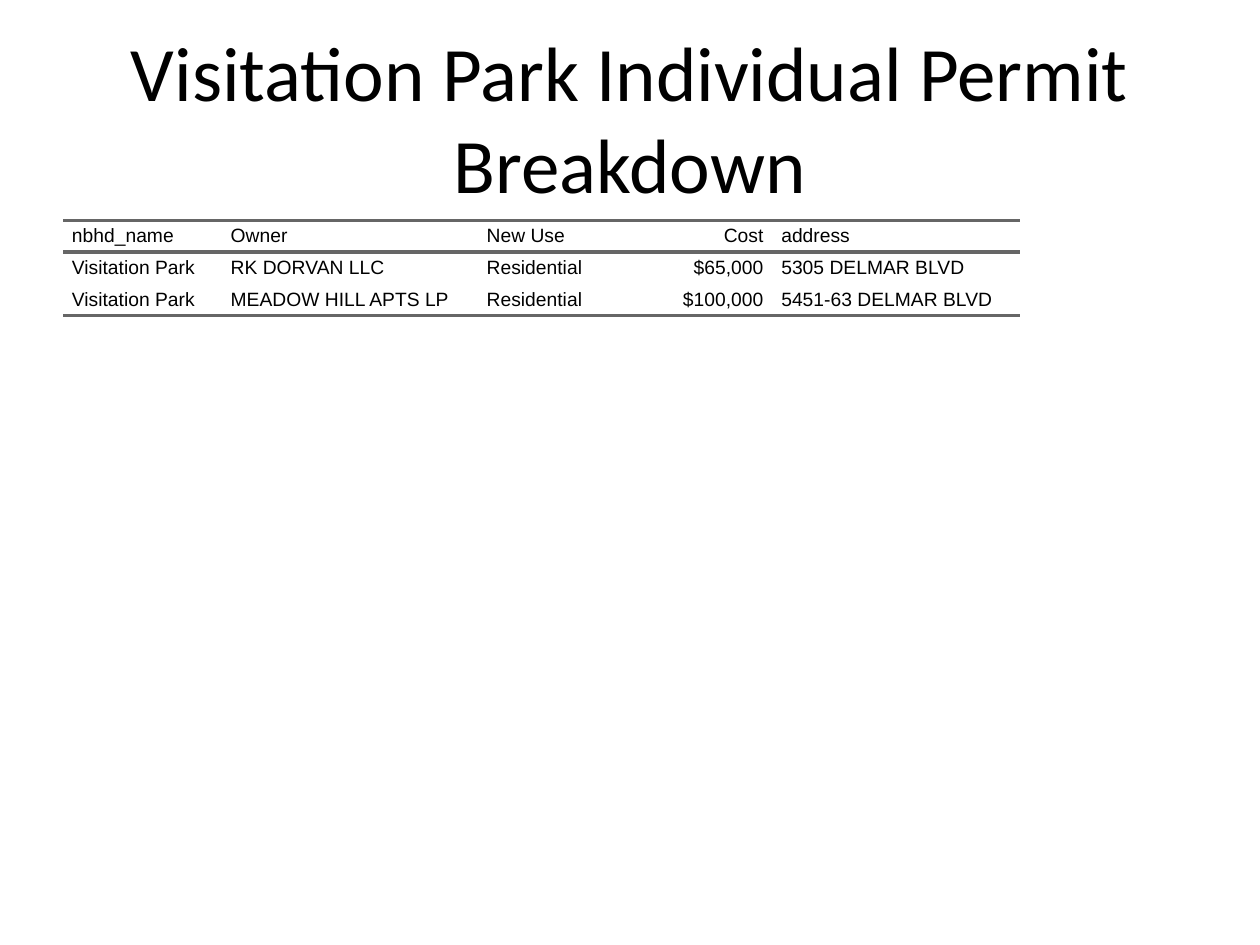
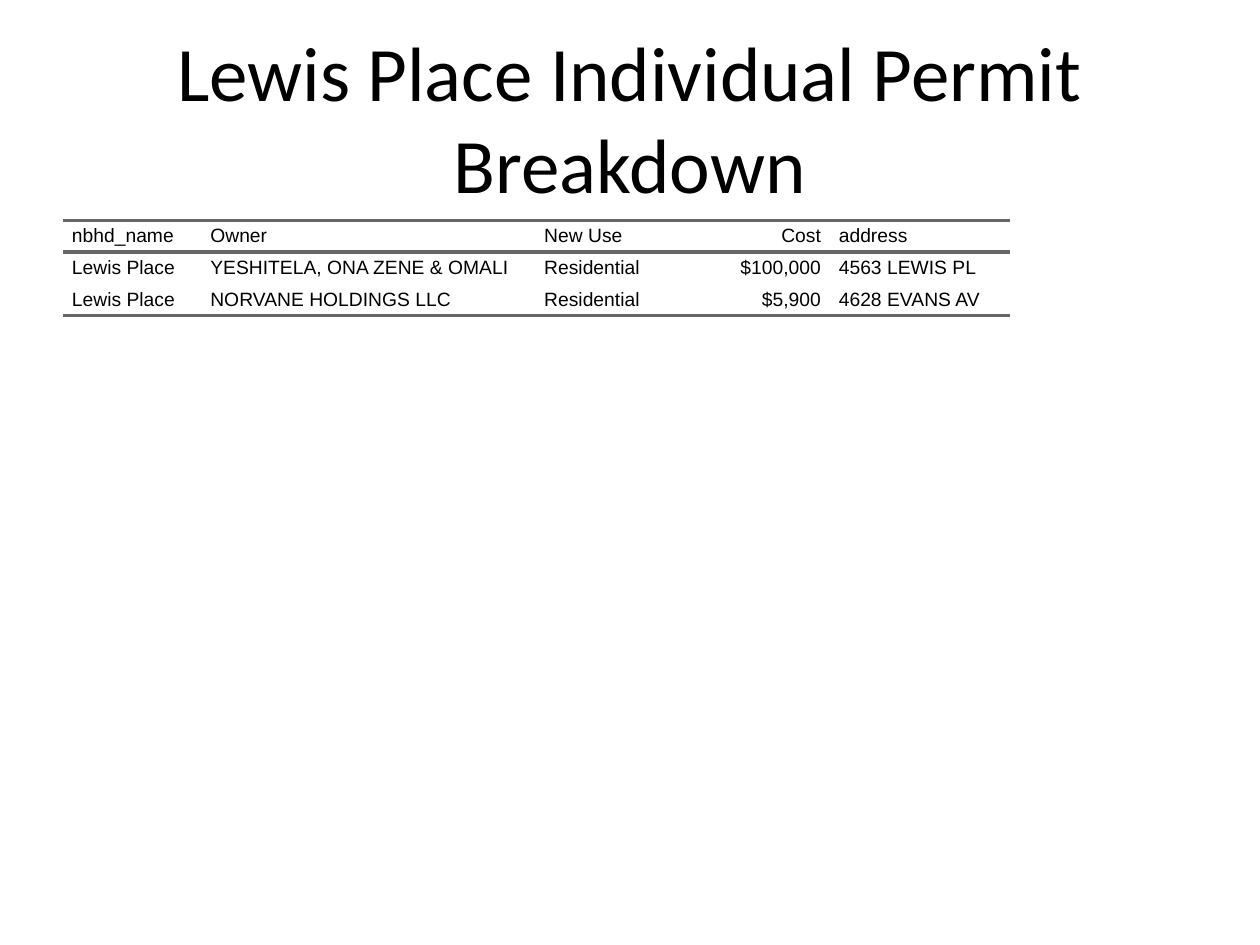
from dataclasses import dataclass

from lxml import etree
from pptx import Presentation, util as u
from pptx.dml.color import RGBColor
from pptx.enum import text
from pptx.oxml.ns import qn

INK = {"text": "000000", "rule": "666666"}
HEAD = ("nbhd_name", "Owner", "New Use", "Cost", "address")
LEFT = u.Cm(1.27)
ROW = u.Cm(0.64)
PAD = u.Cm(0.18)
RULE = u.Pt(2)


@dataclass
class Permit:
    owner: str
    use: str
    cost: int
    place: str


@dataclass
class Area:
    name: str
    widths: tuple[float, ...]
    permits: list[Permit]

    def rows(self) -> list[tuple[str, ...]]:
        return [HEAD] + [(self.name, p.owner, p.use, f"${p.cost:,}", p.place)
                         for p in self.permits]


AREAS = [
    Area("Visitation Park", (3.2, 5.16, 2.64, 3.3, 5), [
        Permit("RK DORVAN LLC", "Residential", 65000, "5305 DELMAR BLVD"),
        Permit("MEADOW HILL APTS LP", "Residential", 100000, "5451-63 DELMAR BLVD"),
    ]),
    Area("Lewis Place", (2.79, 6.73, 2.64, 3.3, 3.63), [
        Permit("YESHITELA, ONA ZENE & OMALI", "Residential", 100000, "4563 LEWIS PL"),
        Permit("NORVANE HOLDINGS LLC", "Residential", 5900, "4628 EVANS AV"),
    ]),
]


def style(para, face: str, size: int, align) -> None:
    para.alignment = align
    para.font.name = face
    para.font.size = u.Pt(size)
    para.font.color.rgb = RGBColor.from_string(INK["text"])


def add_title(slide, words: str) -> None:
    frame = slide.shapes.add_textbox(LEFT, u.Cm(0.76), u.Cm(22.86), u.Cm(3.18)).text_frame
    frame.word_wrap = True
    frame.vertical_anchor = text.MSO_ANCHOR.MIDDLE
    frame.text = words
    style(frame.paragraphs[0], "Calibri", 44, text.PP_ALIGN.CENTER)


def set_rules(cell, top: bool, base: bool) -> None:
    """Rule the top and base of a cell where asked; clear its other edges."""
    props = cell._tc.get_or_add_tcPr()
    edges = {"a:lnL": False, "a:lnR": False, "a:lnT": top, "a:lnB": base}
    for spot, (tag, ruled) in enumerate(edges.items()):
        line = etree.Element(qn(tag), w=str(RULE))
        if ruled:
            fill = etree.SubElement(line, qn("a:solidFill"))
            etree.SubElement(fill, qn("a:srgbClr"), val=INK["rule"])
        else:
            etree.SubElement(line, qn("a:noFill"))
        props.insert(spot, line)


def add_table(slide, area: Area) -> None:
    rows = area.rows()
    last = len(rows) - 1
    table = slide.shapes.add_table(len(rows), len(HEAD), LEFT, u.Cm(4.44),
                                   u.Cm(sum(area.widths)), ROW * len(rows)).table
    table.first_row = table.horz_banding = False
    for col, width in zip(table.columns, area.widths):
        col.width = u.Cm(width)
    for r, row in enumerate(rows):
        table.rows[r].height = ROW
        for c, words in enumerate(row):
            cell = table.cell(r, c)
            cell.text = words
            cell.margin_left = cell.margin_right = PAD
            cell.margin_top = cell.margin_bottom = 0
            cell.vertical_anchor = text.MSO_ANCHOR.MIDDLE
            cell.fill.background()
            set_rules(cell, top=r <= 1, base=r in (0, last))
            side = text.PP_ALIGN.RIGHT if HEAD[c] == "Cost" else text.PP_ALIGN.LEFT
            style(cell.text_frame.paragraphs[0], "Arial", 11, side)


def main() -> None:
    deck = Presentation()
    deck.slide_width, deck.slide_height = u.Cm(25.4), u.Cm(19.05)
    for area in AREAS:
        slide = deck.slides.add_slide(deck.slide_layouts[6])
        add_title(slide, f"{area.name} Individual Permit Breakdown")
        add_table(slide, area)
    deck.save("out.pptx")


if __name__ == "__main__":
    main()
